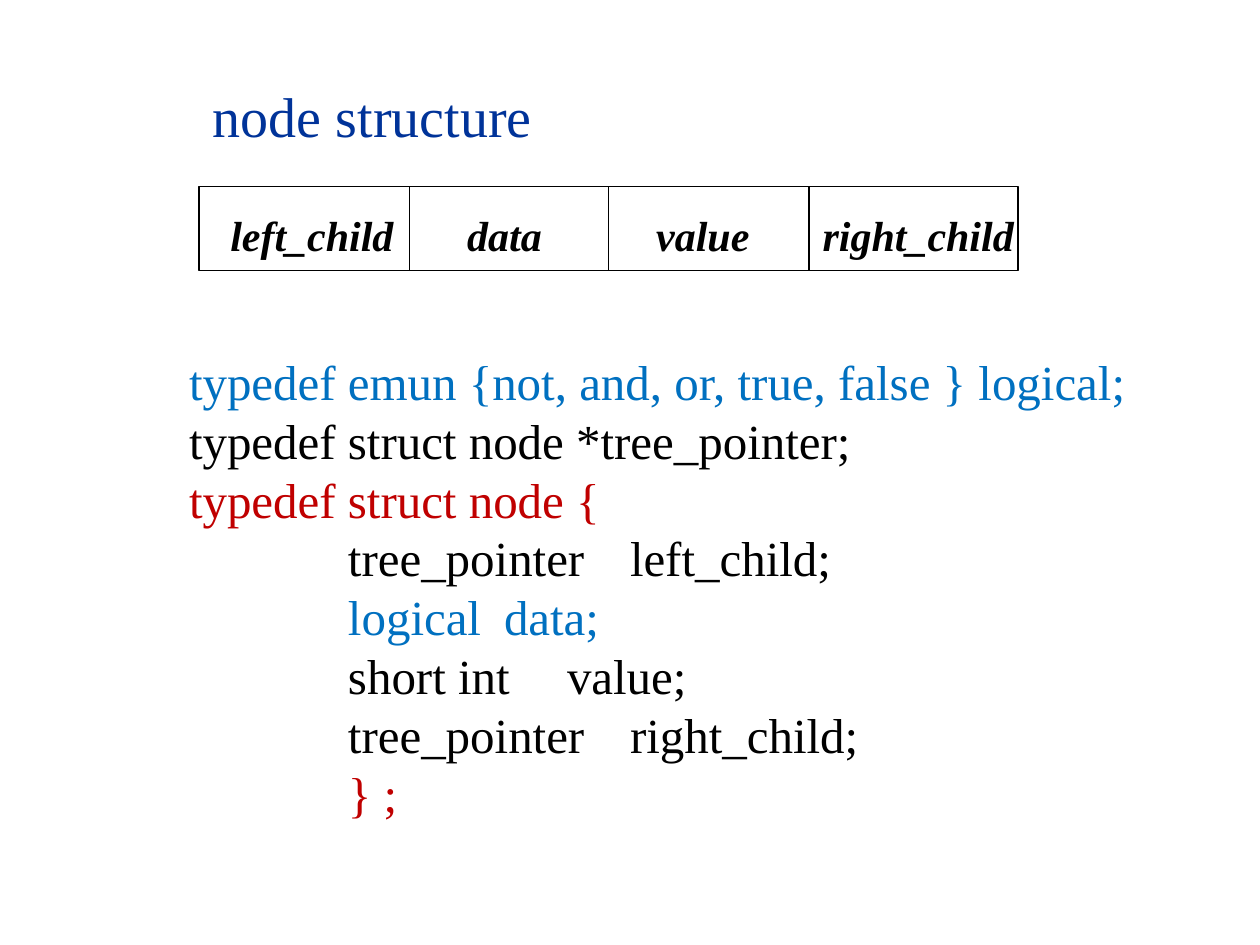
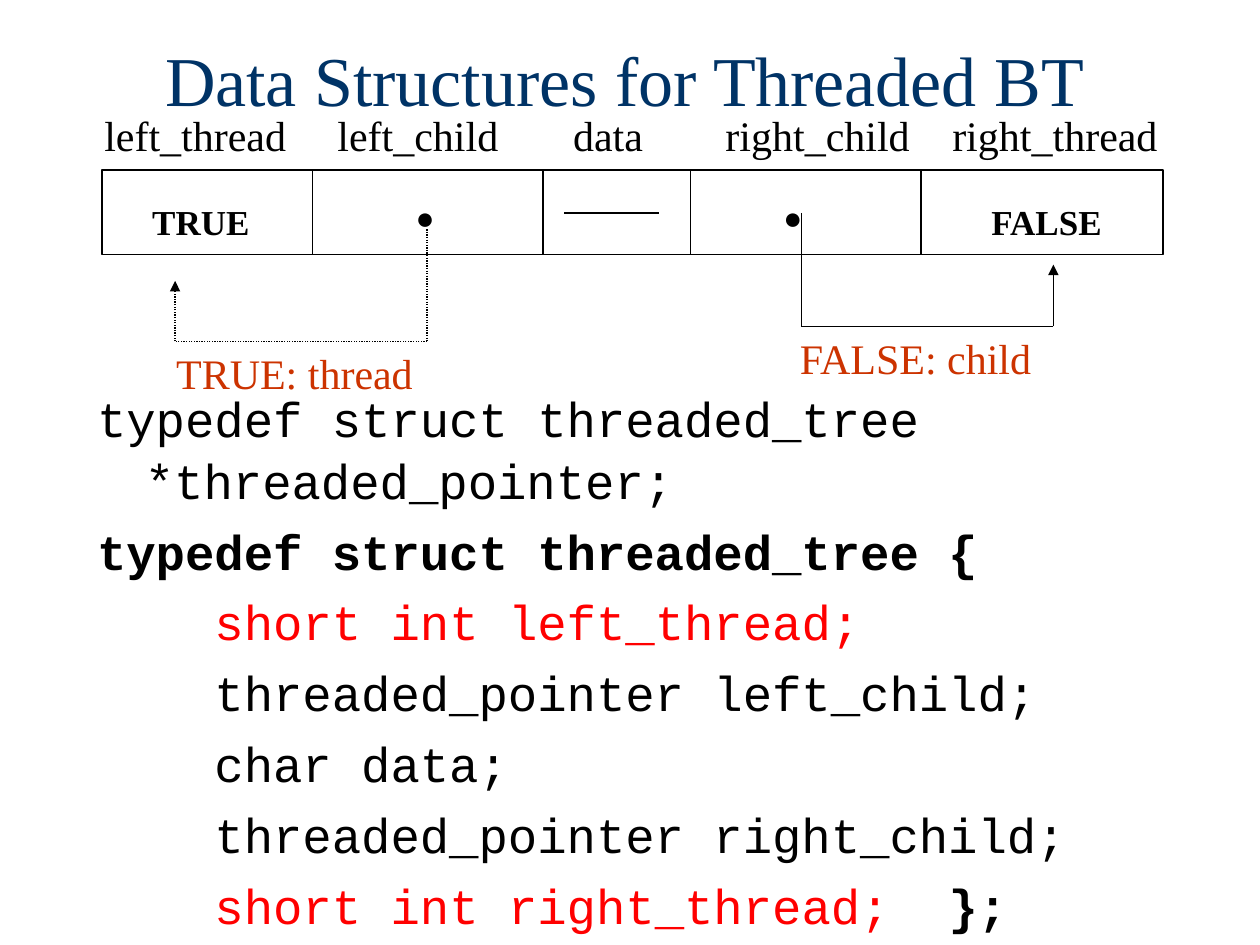
"""Build two slides on the node structures of expression trees and threaded binary trees."""
from dataclasses import dataclass

from lxml.etree import SubElement
from pptx import Presentation
from pptx.dml.color import RGBColor
from pptx.enum.dml import MSO_LINE
from pptx.enum.shapes import MSO_CONNECTOR, MSO_SHAPE
from pptx.enum.text import MSO_ANCHOR, MSO_AUTO_SIZE, PP_ALIGN
from pptx.oxml.ns import qn
from pptx.slide import Slide
from pptx.text.text import TextFrame
from pptx.util import Inches, Pt


@dataclass(frozen=True)
class Theme:
    """Colours, fonts and sizes used on the slides."""
    black: str = "000000"
    node_title: str = "003399"
    thread_title: str = "003366"
    blue: str = "0070C0"
    dark_red: str = "C00000"
    red: str = "FF0000"
    caption: str = "CC3300"
    serif: str = "Times New Roman"
    sans: str = "Arial"
    mono: str = "Courier New"
    title_size: float = 40
    subtitle_size: float = 32
    code_size: float = 28
    label_size: float = 24
    value_size: float = 20
    dot_size: float = 18
    line_width: float = 0.75
    leading: float = 1.2
    code_leading: float = 1.26


THEME = Theme()


@dataclass(frozen=True)
class Box:
    """A rectangle in inches."""
    left: float
    top: float
    width: float
    height: float


@dataclass(frozen=True)
class Piece:
    """A stretch of text in one colour and weight."""
    text: str
    color: str = THEME.black
    bold: bool = False
    italic: bool = False


@dataclass(frozen=True)
class Style:
    """The type and paragraph settings of a text."""
    size: float
    font: str = THEME.serif
    leading: float = THEME.leading
    space_before: float = 0
    hanging: float = 0
    tab_stop: float = 0


@dataclass(frozen=True)
class Label:
    """A one-line text and the place of its box."""
    text: str
    left: float
    top: float
    size: float = THEME.label_size
    color: str = THEME.black
    font: str = THEME.serif
    bold: bool = False
    italic: bool = False


@dataclass(frozen=True)
class Link:
    """A bent arrow that drops from a cell and rises into another."""
    start_x: float
    start_y: float
    low_y: float
    end_x: float
    end_y: float
    dotted: bool = False


Lines = list[list[Piece]]

NODE_LABELS = [("left_child", 1.73), ("data", 3.61), ("value", 5.11), ("right_child", 6.43)]
NODE_CODE: Lines = [
    [Piece("typedef emun {not, and, or, true, false } logical;", THEME.blue)],
    [Piece("typedef struct node *tree_pointer;")],
    [Piece("typedef struct node {", THEME.dark_red)],
    [Piece("             tree_pointer\tleft_child;")],
    [Piece("             logical\tdata;", THEME.blue)],
    [Piece("             short int\tvalue;")],
    [Piece("             tree_pointer\tright_child;")],
    [Piece("             } ;", THEME.dark_red)],
]

THREAD_LABELS = [("left_thread", 0.73), ("left_child", 2.58), ("data", 4.45),
                 ("right_child", 5.66), ("right_thread", 7.46)]
THREAD_VALUES = [
    Label("TRUE", 1.11, 1.54, THEME.value_size, bold=True),
    Label("●", 3.2, 1.52, THEME.dot_size, font=THEME.sans),
    Label("●", 6.12, 1.52, THEME.dot_size, font=THEME.sans),
    Label("FALSE", 7.77, 1.54, THEME.value_size, bold=True),
]
THREAD_CAPTIONS = [
    Label("FALSE: child", 6.25, 2.59, color=THEME.caption),
    Label("TRUE: thread", 1.3, 2.71, color=THEME.caption),
]
THREAD_LINKS = [
    Link(6.36, 1.69, 2.59, 8.36, 2.1),
    Link(3.39, 1.82, 2.71, 1.39, 2.23, dotted=True),
]
THREAD_CODE: Lines = [
    [Piece("typedef struct threaded_tree *threaded_pointer;")],
    [Piece("typedef struct threaded_tree {", bold=True)],
    [Piece("    "), Piece("short int left_thread;", THEME.red)],
    [Piece("    threaded_pointer left_child;")],
    [Piece("    char data;")],
    [Piece("    threaded_pointer right_child;")],
    [Piece("    "), Piece("short int right_thread;  ", THEME.red), Piece("};", bold=True)],
]


def place(shape, box: Box) -> None:
    """Move a shape to a box."""
    shape.left, shape.top = Inches(box.left), Inches(box.top)
    shape.width, shape.height = Inches(box.width), Inches(box.height)


def write(frame: TextFrame, lines: Lines, style: Style,
          anchor: MSO_ANCHOR = MSO_ANCHOR.TOP) -> None:
    """Write one paragraph a line, run by run."""
    frame.word_wrap = True
    frame.auto_size = MSO_AUTO_SIZE.NONE
    frame.vertical_anchor = anchor
    for index, pieces in enumerate(lines):
        paragraph = frame.add_paragraph() if index else frame.paragraphs[0]
        properties = paragraph._p.get_or_add_pPr()
        properties.set("marL", str(Inches(style.hanging)))
        properties.set("indent", str(-Inches(style.hanging)))
        SubElement(properties, qn("a:buNone"))
        if style.tab_stop:
            tabs = SubElement(properties, qn("a:tabLst"))
            SubElement(tabs, qn("a:tab"), pos=str(Inches(style.tab_stop)), algn="l")
        paragraph.alignment = PP_ALIGN.LEFT
        paragraph.line_spacing = Pt(style.size * style.leading)
        paragraph.space_before = Pt(style.space_before if index else 0)
        for piece in pieces:
            run = paragraph.add_run()
            run.text = piece.text
            run.font.name = style.font
            run.font.size = Pt(style.size)
            run.font.bold = piece.bold
            run.font.italic = piece.italic
            run.font.color.rgb = RGBColor.from_string(piece.color)


def add_label(slide: Slide, label: Label) -> None:
    """Add a one-line text box."""
    text_box = slide.shapes.add_textbox(
        Inches(label.left), Inches(label.top), Inches(2.1), Inches(0.5))
    piece = Piece(label.text, label.color, label.bold, label.italic)
    write(text_box.text_frame, [[piece]], Style(label.size, label.font))


def add_line(slide: Slide, start: tuple[float, float], end: tuple[float, float],
             dotted: bool = False, arrow: bool = False):
    """Add a thin black line, with an arrowhead at its end if asked."""
    connector = slide.shapes.add_connector(
        MSO_CONNECTOR.STRAIGHT, *(Inches(value) for value in (*start, *end)))
    connector.line.color.rgb = RGBColor.from_string(THEME.black)
    connector.line.width = Pt(THEME.line_width)
    if dotted:
        connector.line.dash_style = MSO_LINE.ROUND_DOT
    if arrow:
        SubElement(connector.line._get_or_add_ln(), qn("a:tailEnd"), type="triangle")
    SubElement(connector._element.spPr, qn("a:effectLst"))
    return connector


def add_record(slide: Slide, box: Box, dividers: list[float]) -> None:
    """Add an outlined record split into cells."""
    record = slide.shapes.add_shape(
        MSO_SHAPE.RECTANGLE, Inches(box.left), Inches(box.top),
        Inches(box.width), Inches(box.height))
    record.shadow.inherit = False
    record.fill.background()
    record.line.color.rgb = RGBColor.from_string(THEME.black)
    record.line.width = Pt(THEME.line_width)
    middle = box.left + box.width / 2
    for x in dividers:
        divider = add_line(slide, (x, box.top), (x, box.top + box.height))
        if abs(x - middle) < 0.01:
            divider.begin_connect(record, 0)
            divider.end_connect(record, 2)


def add_link(slide: Slide, link: Link) -> None:
    """Add the three strokes of a bent arrow."""
    corners = [(link.start_x, link.start_y), (link.start_x, link.low_y),
               (link.end_x, link.low_y), (link.end_x, link.end_y)]
    for index, (start, end) in enumerate(zip(corners, corners[1:])):
        add_line(slide, start, end, link.dotted, arrow=index == 2)


def add_code_slide(presentation, title: Piece, title_box: Box, title_size: float,
                   anchor: MSO_ANCHOR, code: Lines, code_box: Box, code_style: Style) -> Slide:
    """Add a slide with a title and a code listing."""
    slide = presentation.slides.add_slide(presentation.slide_layouts[1])
    heading, body = slide.shapes.title, slide.placeholders[1]
    place(heading, title_box)
    write(heading.text_frame, [[title]], Style(title_size), anchor)
    place(body, code_box)
    write(body.text_frame, code, code_style)
    return slide


def build_node_slide(presentation) -> None:
    """Build the slide on the node structure."""
    slide = add_code_slide(
        presentation, Piece("node structure", THEME.node_title), Box(1.59, 0.6, 3.5, 0.64),
        THEME.subtitle_size, MSO_ANCHOR.TOP, NODE_CODE, Box(1.4, 2.74, 8, 4.31),
        Style(THEME.code_size, tab_stop=3.33))
    add_record(slide, Box(1.58, 1.48, 6.5, 0.67), [3.25, 4.83, 6.42])
    for text, left in NODE_LABELS:
        add_label(slide, Label(text, left, 1.61, bold=True, italic=True))


def build_thread_slide(presentation) -> None:
    """Build the slide on the threaded tree."""
    slide = add_code_slide(
        presentation, Piece("Data Structures for Threaded BT", THEME.thread_title),
        Box(1.21, 0, 7.65, 1.25), THEME.title_size, MSO_ANCHOR.MIDDLE,
        THREAD_CODE, Box(0.67, 3.01, 9.3, 4.49),
        Style(THEME.code_size, THEME.mono, THEME.code_leading, space_before=5.2, hanging=0.38))
    add_record(slide, Box(0.81, 1.35, 8.42, 0.67), [2.48, 4.31, 5.48, 7.31])
    add_line(slide, (4.48, 1.69), (5.23, 1.69))
    for link in THREAD_LINKS:
        add_link(slide, link)
    headings = [Label(text, left, 0.82) for text, left in THREAD_LABELS]
    for label in headings + THREAD_VALUES + THREAD_CAPTIONS:
        add_label(slide, label)


def main() -> None:
    """Build and save the presentation."""
    presentation = Presentation()
    presentation.slide_width, presentation.slide_height = Inches(10), Inches(7.5)
    build_node_slide(presentation)
    build_thread_slide(presentation)
    presentation.save("out.pptx")


if __name__ == "__main__":
    main()
